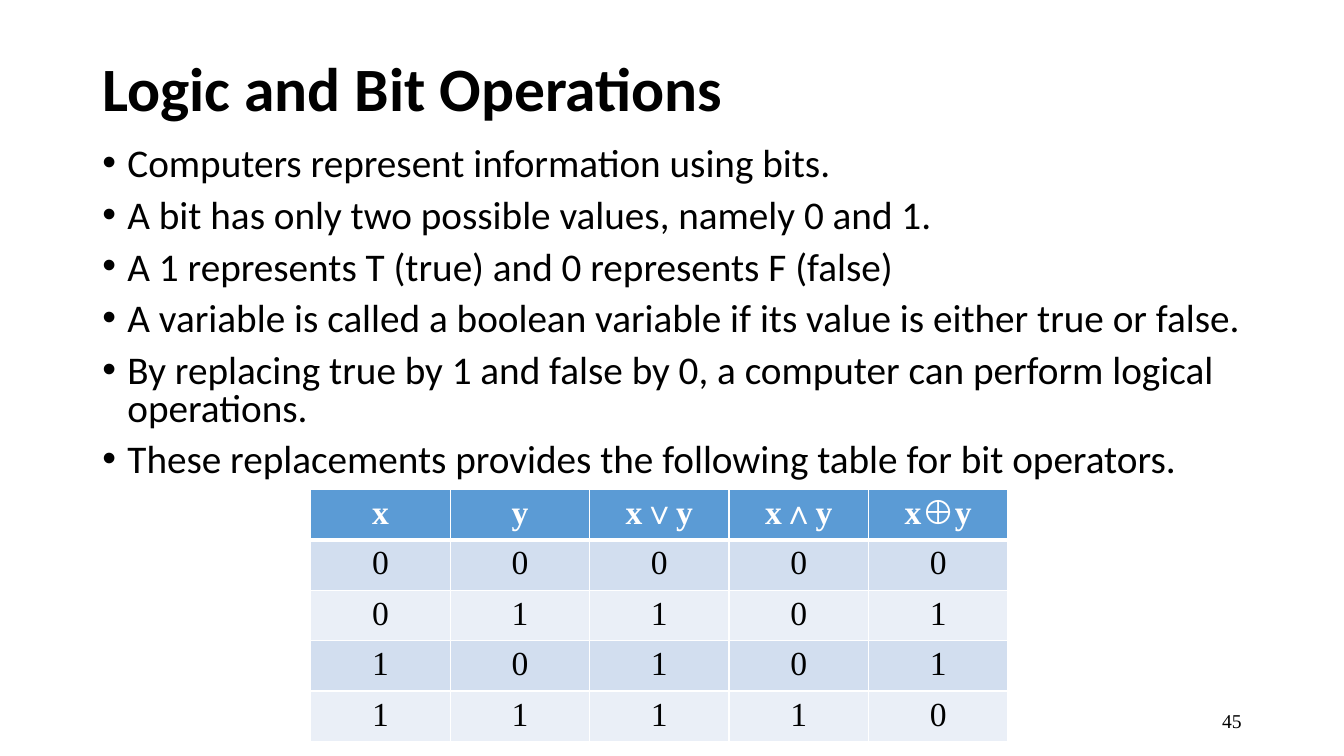
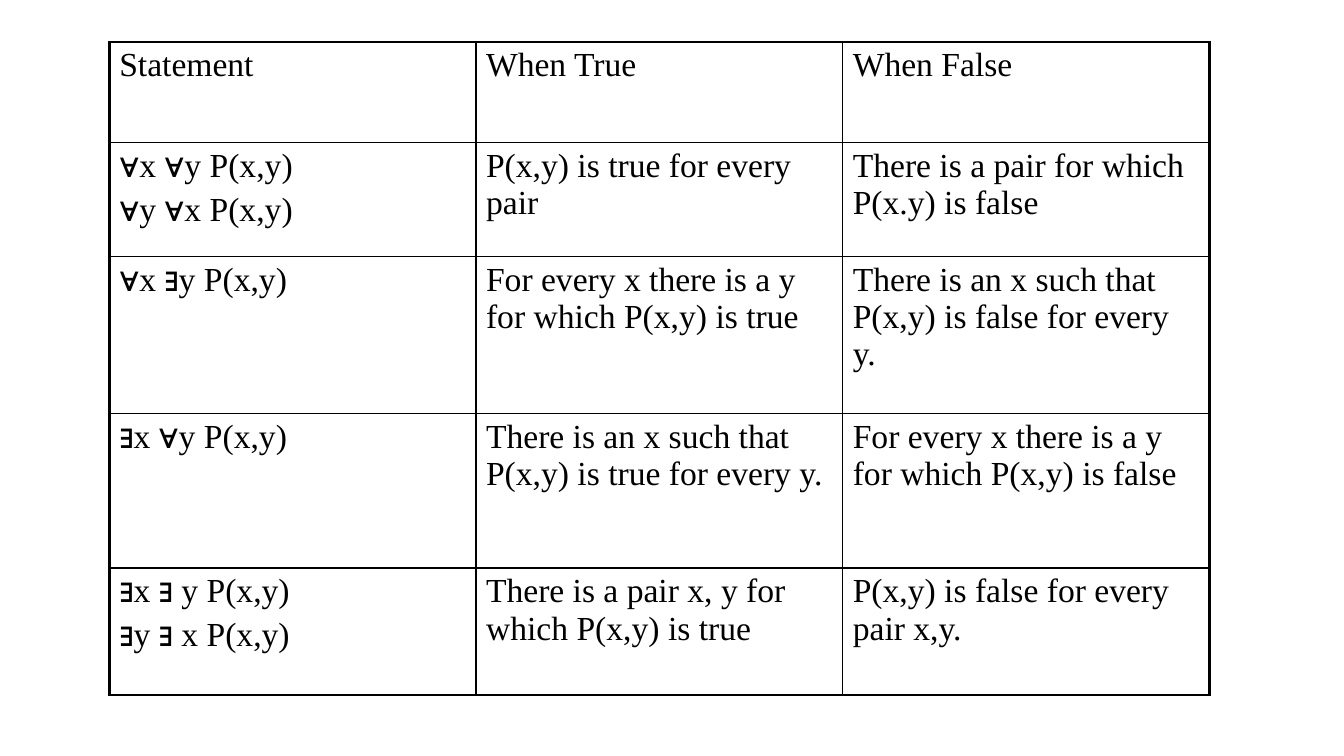
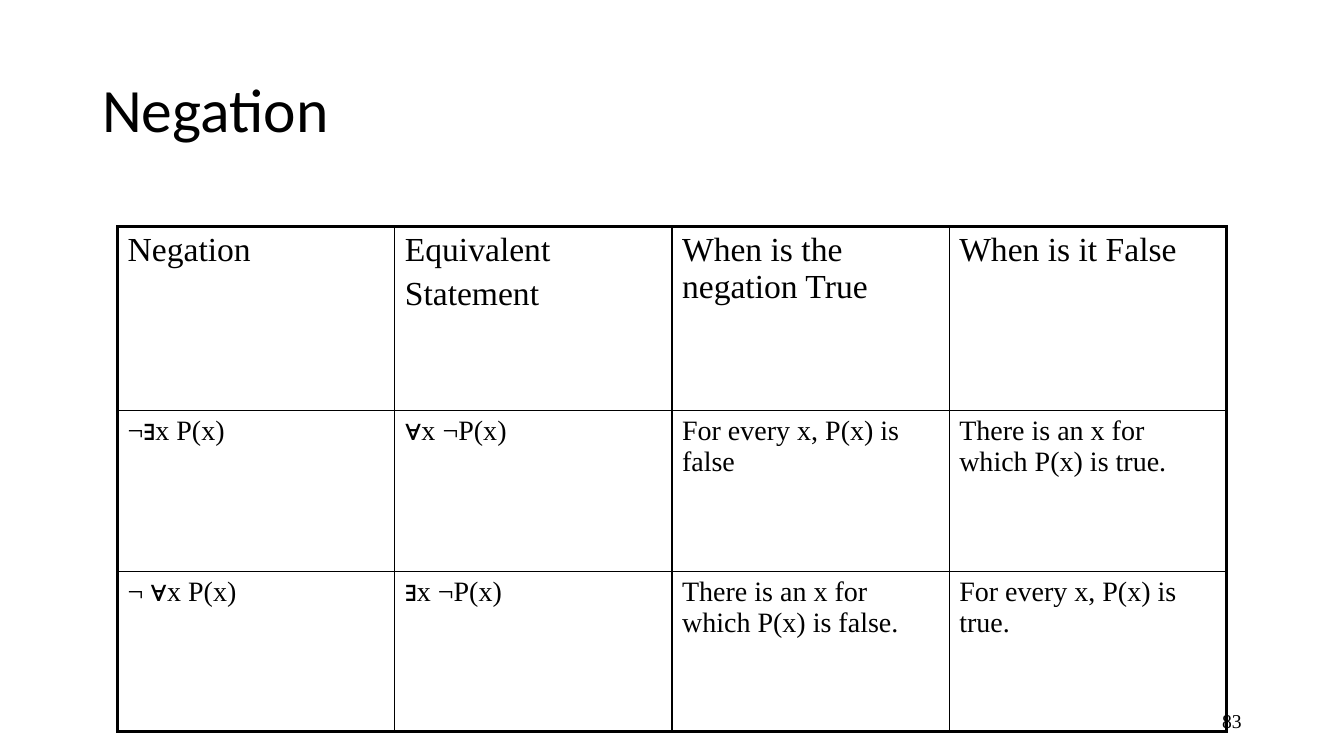
from dataclasses import dataclass

from lxml.etree import SubElement
from pptx import Presentation
from pptx.dml.color import RGBColor
from pptx.enum.text import MSO_ANCHOR, PP_ALIGN
from pptx.oxml.ns import qn
from pptx.slide import Slide
from pptx.table import _Cell
from pptx.text.text import TextFrame, _Paragraph
from pptx.util import Emu, Pt

EMU_PER_PX = 9525
COLORS = {
    "ink": "000000",
    "paper": "FFFFFF",
    "header": "5B9BD5",
    "odd_band": "D2DEEF",
    "even_band": "EAEFF7",
}
HEADING_FONT = "Calibri"
TABLE_FONT = "Times New Roman"


@dataclass(frozen=True)
class Box:
    left: int
    top: int
    width: int
    height: int


@dataclass(frozen=True)
class TextStyle:
    font: str
    size: int
    bold: bool = False
    color: str = "ink"
    align: PP_ALIGN = PP_ALIGN.LEFT
    line_spacing: float = 1.0
    space_before: float = 0
    bulleted: bool = False


@dataclass(frozen=True)
class CellLook:
    text: TextStyle
    fill: str | None = None


@dataclass(frozen=True)
class Borders:
    color: str
    outer: float
    inner: float
    below_header: float


@dataclass(frozen=True)
class TableDesign:
    """Looks and borders of a table; the body looks take turns down the rows."""
    header: CellLook
    body: tuple[CellLook, ...]
    borders: Borders


PAGE_NUMBER_BOX = Box(904, 667, 288, 38)
PAGE_NUMBER = TextStyle(TABLE_FONT, 14, align=PP_ALIGN.RIGHT)
TITLE = TextStyle(HEADING_FONT, 44, line_spacing=0.9)
BOLD_TITLE = TextStyle(HEADING_FONT, 44, bold=True, line_spacing=0.9)
BODY = TextStyle(HEADING_FONT, 28, line_spacing=0.8, space_before=10, bulleted=True)

BIT_HEADER = TextStyle(TABLE_FONT, 24, bold=True, color="paper", align=PP_ALIGN.CENTER)
BIT_VALUE = TextStyle(TABLE_FONT, 24, align=PP_ALIGN.CENTER)
LARGE_CELL = CellLook(TextStyle(TABLE_FONT, 24, space_before=4.8))
SMALL_CELL = CellLook(TextStyle(TABLE_FONT, 20, space_before=4))
RULED = Borders("ink", outer=2.25, inner=1, below_header=1)

BIT_TABLE = TableDesign(
    CellLook(BIT_HEADER, "header"),
    (CellLook(BIT_VALUE, "odd_band"), CellLook(BIT_VALUE, "even_band")),
    Borders("paper", outer=1, inner=1, below_header=3),
)
STATEMENT_TABLE = TableDesign(LARGE_CELL, (LARGE_CELL,), RULED)
NEGATION_TABLE = TableDesign(LARGE_CELL, (SMALL_CELL,), RULED)

BIT_FACTS = [
    "Computers represent information using bits.",
    "A bit has only two possible values, namely 0 and 1.",
    "A 1 represents T (true) and 0 represents F (false)",
    "A variable is called a boolean variable if its value is either true or false.",
    "By replacing true by 1 and false by 0, a computer can perform logical operations.",
    "These replacements provides the following table for bit operators.",
]
BIT_ROWS = [["x", "y", "x∨y", "x∧y", "x⊕y"]] + [
    [str(value) for value in (x, y, x | y, x & y, x ^ y)]
    for x in (0, 1) for y in (0, 1)
]
STATEMENT_ROWS = [
    ["Statement", "When True", "When False"],
    ["∀x ∀y P(x,y)\n∀y ∀x P(x,y)",
     "P(x,y) is true for every pair",
     "There is a pair for which P(x.y) is false"],
    ["∀x ∃y P(x,y)",
     "For every x there is a y for which P(x,y) is true",
     "There is an x such that P(x,y) is false for every y."],
    ["∃x ∀y P(x,y)",
     "There is an x such that P(x,y) is true for every y.",
     "For every x there is a y for which P(x,y) is false"],
    ["∃x ∃ y P(x,y)\n∃y ∃ x P(x,y)",
     "There is a pair x, y for which P(x,y) is true",
     "P(x,y) is false for every pair x,y."],
]
NEGATION_ROWS = [
    ["Negation", "Equivalent\nStatement", "When is the negation True", "When is it False"],
    ["¬∃x P(x)", "∀x ¬P(x)", "For every x, P(x) is false",
     "There is an x for which P(x) is true."],
    ["¬ ∀x P(x)", "∃x ¬P(x)", "There is an x for which P(x) is false.",
     "For every x, P(x) is true."],
]


def px(length: int) -> Emu:
    return Emu(length * EMU_PER_PX)


def rgb(name: str) -> RGBColor:
    return RGBColor.from_string(COLORS[name])


def add_bullet(paragraph: _Paragraph) -> None:
    properties = paragraph._p.get_or_add_pPr()
    properties.set("marL", str(px(24)))
    properties.set("indent", str(px(-24)))
    SubElement(properties, qn("a:buFont"), typeface="Arial")
    SubElement(properties, qn("a:buChar"), char="•")


def write_text(frame: TextFrame, lines: list[str], style: TextStyle) -> None:
    for index, line in enumerate(lines):
        paragraph = frame.add_paragraph() if index else frame.paragraphs[0]
        if style.bulleted:
            add_bullet(paragraph)
        paragraph.alignment = style.align
        paragraph.line_spacing = style.line_spacing
        paragraph.space_before = Pt(style.space_before if index else 0)
        run = paragraph.add_run()
        run.text = line
        run.font.name = style.font
        run.font.size = Pt(style.size)
        run.font.bold = style.bold
        run.font.color.rgb = rgb(style.color)


def add_text(slide: Slide, box: Box, lines: list[str], style: TextStyle,
             anchor: MSO_ANCHOR = MSO_ANCHOR.MIDDLE) -> None:
    shape = slide.shapes.add_textbox(
        px(box.left), px(box.top), px(box.width), px(box.height))
    frame = shape.text_frame
    frame.word_wrap = True
    frame.vertical_anchor = anchor
    write_text(frame, lines, style)


def add_title(slide: Slide, text: str, height: int, style: TextStyle) -> None:
    add_text(slide, Box(88, 38, 1104, height), [text], style)


def add_page_number(slide: Slide, number: int) -> None:
    add_text(slide, PAGE_NUMBER_BOX, [str(number)], PAGE_NUMBER)


def set_cell_borders(cell: _Cell, color: str, widths: dict[str, float]) -> None:
    properties = cell._tc.get_or_add_tcPr()
    for side, width in widths.items():
        line = SubElement(properties, qn(f"a:ln{side}"), w=str(Pt(width)))
        fill = SubElement(line, qn("a:solidFill"))
        SubElement(fill, qn("a:srgbClr"), val=COLORS[color])


def add_table(slide: Slide, left: int, top: int, width: int, row_heights: list[int],
              rows: list[list[str]], design: TableDesign) -> None:
    """Draw equal columns, with shared edges given the same width on both sides."""
    row_count, column_count = len(rows), len(rows[0])
    table = slide.shapes.add_table(
        row_count, column_count, px(left), px(top), px(width), px(sum(row_heights))).table
    table.first_row = table.horz_banding = False
    for column in table.columns:
        column.width = Emu(px(width) // column_count)

    borders = design.borders
    row_edges = [borders.outer, borders.below_header,
                 *[borders.inner] * (row_count - 2), borders.outer]
    column_edges = [borders.outer, *[borders.inner] * (column_count - 1), borders.outer]
    for row, texts in enumerate(rows):
        table.rows[row].height = px(row_heights[row])
        look = design.body[(row - 1) % len(design.body)] if row else design.header
        for column, text in enumerate(texts):
            cell = table.cell(row, column)
            set_cell_borders(cell, borders.color, {
                "L": column_edges[column], "R": column_edges[column + 1],
                "T": row_edges[row], "B": row_edges[row + 1]})
            if look.fill:
                cell.fill.solid()
                cell.fill.fore_color.rgb = rgb(look.fill)
            else:
                cell.fill.background()
            write_text(cell.text_frame, text.split("\n"), look.text)


def build_bit_operations(slide: Slide) -> None:
    add_title(slide, "Logic and Bit Operations", 98, BOLD_TITLE)
    add_text(slide, Box(88, 136, 1104, 344), BIT_FACTS, BODY, MSO_ANCHOR.TOP)
    add_page_number(slide, 45)
    add_table(slide, 296, 466, 664, [45] * len(BIT_ROWS), BIT_ROWS, BIT_TABLE)


def build_statements(slide: Slide) -> None:
    add_table(slide, 104, 40, 1048, [96, 108, 150, 147, 121],
              STATEMENT_ROWS, STATEMENT_TABLE)


def build_negation(slide: Slide) -> None:
    add_title(slide, "Negation", 139, TITLE)
    add_page_number(slide, 83)
    add_table(slide, 112, 216, 1056, [175, 153, 153], NEGATION_ROWS, NEGATION_TABLE)


def main() -> None:
    presentation = Presentation()
    presentation.slide_width = px(1280)
    presentation.slide_height = px(720)
    blank_layout = presentation.slide_layouts[6]
    for build in (build_bit_operations, build_statements, build_negation):
        build(presentation.slides.add_slide(blank_layout))
    presentation.save("out.pptx")


if __name__ == "__main__":
    main()
